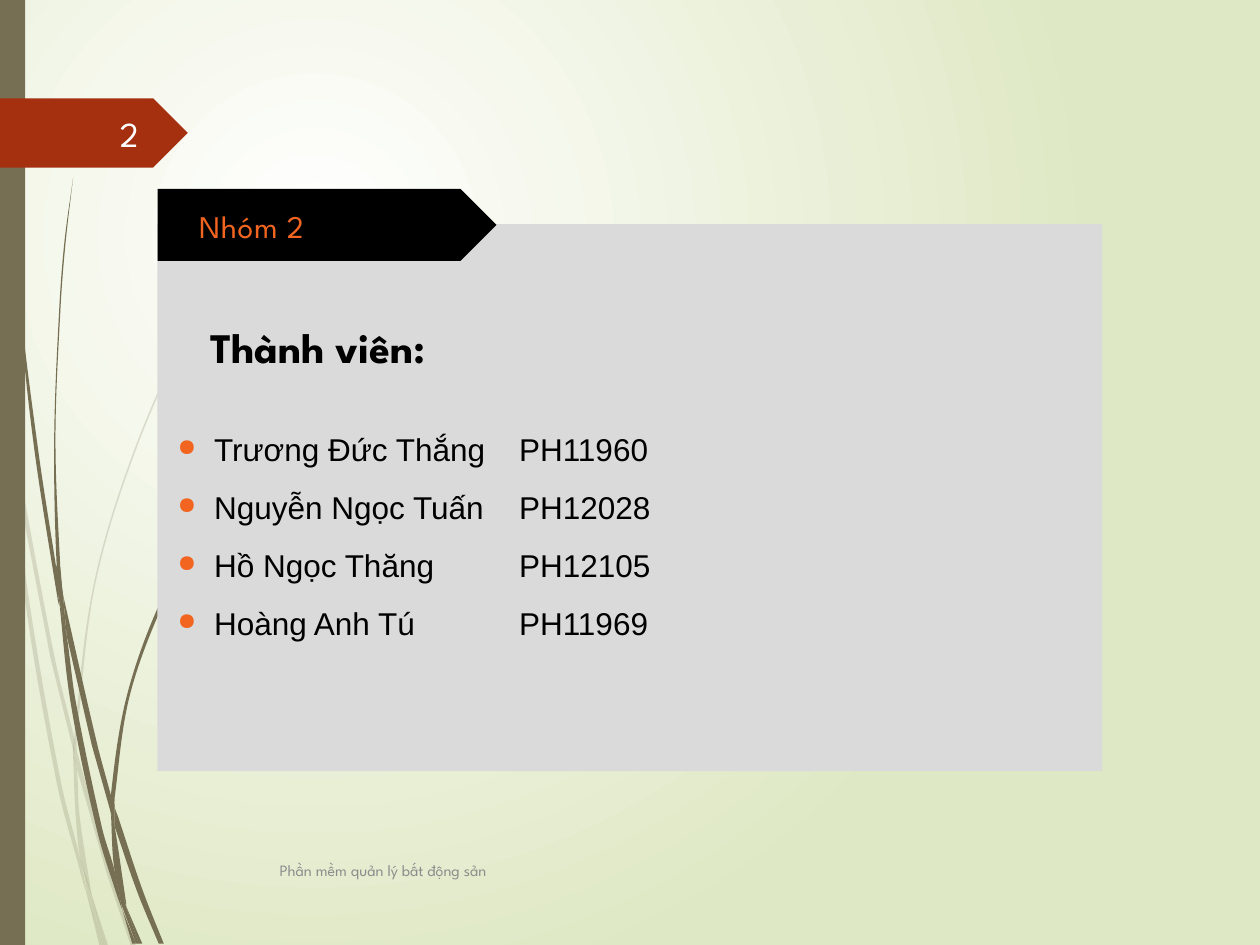
from collections import namedtuple
from dataclasses import dataclass
from math import dist

from lxml import etree
from pptx import Presentation
from pptx.dml.color import RGBColor
from pptx.enum.shapes import MSO_SHAPE
from pptx.enum.text import MSO_ANCHOR, PP_ALIGN
from pptx.oxml.ns import qn
from pptx.util import Inches, Pt

Box = namedtuple("Box", "left top width height")


@dataclass(frozen=True)
class Theme:
    olive: str = "766F54"
    rust: str = "A53010"
    orange: str = "F16521"
    panel: str = "DADADA"
    black: str = "000000"
    white: str = "FEFFFF"
    grey: str = "8C8C8C"
    glow: str = "FFFFFF"
    field: str = "DFE8C4"
    display: str = "League Spartan"
    body: str = "Arial"
    heading_size: int = 24
    number_size: int = 20
    text_size: int = 18
    footer_size: int = 9


THEME = Theme()
SLIDE = Box(0, 0, 10, 7.5)
MEMBERS = [
    ("Trương Đức Thắng", "PH11960"),
    ("Nguyễn Ngọc Tuấn", "PH12028"),
    ("Hồ Ngọc Thăng", "PH12105"),
    ("Hoàng Anh Tú", "PH11969"),
]

# Each blade section is a ring of smooth edges, given by their knots in inches.
PALE_BLADES = [
    ([(.08, 3.5), (.06, 3.22), (0, 2.82)], [(0, 2.99), (.07, 3.44), (.08, 3.5)]),
    ([(.4, 5.22), (.59, 5.99)], [(.59, 5.86), (.43, 5.2), (.1, 3.45)], [(.12, 3.76), (.4, 5.22)]),
    ([(.61, 5.96), (.61, 6.1)], [(.85, 6.94), (1.04, 7.51)], [(1.08, 7.51), (.88, 6.92), (.64, 6.07), (.61, 5.96)]),
    ([(.83, 7.51), (.86, 7.51)], [(.73, 7.11), (.83, 7.51)]),
    ([(.7, 7.14), (.64, 6.83), (.48, 6.19), (.22, 4.69), (.12, 3.76), (.08, 3.5)],
     [(.08, 3.5), (.19, 4.7), (.45, 6.21), (.64, 6.93), (.7, 7.14)]),
    ([(.58, 5.99), (.6, 6.46), (.64, 6.83), (.73, 7.11)], [(.72, 7.06), (.63, 6.46), (.61, 6.1), (.58, 5.99)]),
    ([(.61, 5.96), (.61, 5.84), (.76, 4.62), (1.11, 3.49), (1.59, 2.45), (1.87, 1.98), (2.01, 1.75), (2.17, 1.54)],
     [(2.17, 1.53), (2.01, 1.75), (1.86, 1.97), (1.58, 2.44), (1.1, 3.48), (.75, 4.61), (.59, 5.84), (.61, 5.96)]),
    ([(.7, 7.14), (.79, 7.51)], [(.82, 7.51), (.7, 7.14)]),
    ([(.61, 6.08), (.61, 5.96)], [(.59, 5.86), (.58, 5.99), (.61, 6.08)]),
    ([(.67, 6.92), (.65, 6.83)], [(.69, 7.07), (.7, 7.14), (.82, 7.51)], [(.83, 7.51), (.73, 7.11), (.67, 6.92)]),
]
DARK_BLADES = [
    ([(.03, 0), (.02, 0)], [(.03, .48), (.05, 1.1), (.14, 2.33), (.27, 3.55), (.46, 4.77), (.47, 4.81)],
     [(.45, 4.53), (.3, 3.55), (.15, 2.32), (.06, 1.09), (.04, .48), (.03, 0)]),
    ([(.73, 5.92), (.88, 6.45)], [(.88, 6.31), (.77, 5.9), (.5, 4.72)], [(.53, 5.05), (.73, 5.92)]),
    ([(.94, 6.49), (.91, 6.41)], [(.91, 6.56), (1.09, 7.08), (1.26, 7.49)], [(1.3, 7.49), (1.13, 7.06), (.94, 6.49)]),
    ([(.97, 7.22), (.91, 6.91), (.81, 6.57), (.6, 5.56), (.53, 5.05), (.47, 4.77)],
     [(.47, 4.77), (.56, 5.57), (.77, 6.59), (.92, 7.08), (.97, 7.22)]),
    ([(.5, 4.72), (.48, 4.53), (.44, 3.49), (.48, 2.45), (.52, 1.93), (.58, 1.41)],
     [(.58, 1.41), (.51, 1.93), (.47, 2.45), (.43, 3.49), (.45, 4.49), (.49, 4.72)]),
    ([(1.1, 7.49), (1.13, 7.49)], [(1, 7.19), (1.1, 7.49)]),
    ([(.47, 4.77), (.53, 5.05)], [(.5, 4.72), (.45, 4.49), (.47, 4.77)]),
    ([(.91, 6.41), (.91, 6.33), (1.03, 5.52), (1.31, 4.76), (1.69, 4.06), (1.91, 3.74), (2.16, 3.44)],
     [(2.15, 3.44), (1.91, 3.73), (1.68, 4.05), (1.29, 4.74), (1.01, 5.51), (.88, 6.31), (.91, 6.41)]),
    ([(.97, 7.22), (1.05, 7.49)], [(1.08, 7.49), (.97, 7.22)]),
    ([(.88, 6.45), (.91, 6.91), (1, 7.19)], [(1, 7.16), (.91, 6.56), (.88, 6.45)]),
    ([(.88, 6.45), (.91, 6.56)], [(.91, 6.41), (.88, 6.31), (.88, 6.45)]),
    ([(.96, 7.06), (.91, 6.91)], [(.96, 7.17), (1.08, 7.49)], [(1.1, 7.49), (1, 7.19), (.96, 7.06)]),
]


def inside(box, left, top, width, height):
    """Return a box given as an offset in inches from the corner of another."""
    return Box(box.left + left, box.top + top, width, height)


def paint(shape, color, opacity=100):
    shape.shadow.inherit = False
    shape.line.fill.background()
    shape.fill.solid()
    shape.fill.fore_color.rgb = RGBColor.from_string(color)
    if opacity < 100:
        color_node = shape.fill._xPr.find(".//" + qn("a:srgbClr"))
        etree.SubElement(color_node, qn("a:alpha"), val=str(opacity * 1000))


def add_block(page, kind, box, color):
    paint(page.shapes.add_shape(kind, *map(Inches, box)), color)


def add_text(page, box, text, *, size, color, font=THEME.display, bold=False, align=PP_ALIGN.LEFT,
             anchor=MSO_ANCHOR.TOP, insets=(.1, .05, .1, .05), before=0, line=1, spacing=0):
    """Add a text box with one paragraph for each line of text; return its paragraphs."""
    frame = page.shapes.add_textbox(*map(Inches, box)).text_frame
    frame.word_wrap, frame.vertical_anchor = True, anchor
    frame.margin_left, frame.margin_top, frame.margin_right, frame.margin_bottom = map(Inches, insets)
    frame.text = text
    for para in frame.paragraphs:
        para.alignment, para.space_before, para.line_spacing = align, Pt(before), line
        for span in para.runs:
            span.font.name, span.font.size, span.font.bold = font, Pt(size), bold
            span.font.color.rgb = RGBColor.from_string(color)
            if spacing:
                span.font._element.set("spc", str(round(spacing * 100)))
    return frame.paragraphs


def add_bullet(para, color, indent, tab):
    props = para._p.get_or_add_pPr()
    props.set("marL", str(Inches(indent)))
    props.set("indent", str(-Inches(indent - .01)))
    bullet_color = etree.SubElement(props, qn("a:buClr"))
    etree.SubElement(bullet_color, qn("a:srgbClr"), val=color)
    etree.SubElement(props, qn("a:buSzPct"), val="75000")
    etree.SubElement(props, qn("a:buChar"), char="●")
    tabs = etree.SubElement(props, qn("a:tabLst"))
    etree.SubElement(tabs, qn("a:tab"), pos=str(Inches(tab)), algn="l")


def bezier_points(knots):
    """Return two control points and an end point for each gap between knots."""
    def handle(origin, before, after, reach):
        share = reach / (3 * dist(before, after))
        return tuple(o + share * (a - b) for o, b, a in zip(origin, before, after))

    padded = [knots[0], *knots, knots[-1]]
    points = []
    for a, b, c, d in zip(padded, padded[1:], padded[2:], padded[3:]):
        chord = dist(b, c)
        points += [handle(b, a, c, chord), handle(c, d, b, chord), c]
    return points


def bend(shape, edges):
    """Turn the straight segments along each edge into cubic curves."""
    lines = iter(shape._element.findall(".//" + qn("a:lnTo")))
    for number, knots in enumerate(edges):
        if number:
            next(lines)
        for _ in knots[1:]:
            curve, *others = (next(lines) for _ in range(3))
            cubic = etree.Element(qn("a:cubicBezTo"))
            curve.addprevious(cubic)
            for line in (curve, *others):
                cubic.append(line[0])
                line.getparent().remove(line)


def draw_grass(page, box, blades, opacity=100):
    group = page.shapes.add_group_shape()
    for edges in blades:
        points = [((box.left + x) * 1000, (box.top + y) * 1000)
                  for knots in edges for x, y in [knots[0], *bezier_points(knots)]]
        builder = group.shapes.build_freeform(*points[0], scale=914.4)
        builder.add_line_segments(points[1:], close=True)
        blade = builder.convert_to_shape()
        bend(blade, edges)
        paint(blade, THEME.olive, opacity)


def draw_background(page):
    fill = page.background.fill
    fill.gradient()
    for stop, color in zip(fill.gradient_stops, (THEME.glow, THEME.field)):
        stop.color.rgb = RGBColor.from_string(color)
    gradient = page.background._cSld.find(".//" + qn("a:gradFill"))
    gradient.remove(gradient.find(qn("a:lin")))
    circle = etree.SubElement(gradient, qn("a:path"), path="circle")
    etree.SubElement(circle, qn("a:fillToRect"), l="50000", t="50000", r="100000", b="100000")


def draw_page_number(page, box, number):
    add_block(page, MSO_SHAPE.PENTAGON, box, THEME.rust)
    add_text(page, inside(box, .56, .08, .64, .4), str(number), size=THEME.number_size,
             color=THEME.white, align=PP_ALIGN.RIGHT, anchor=MSO_ANCHOR.MIDDLE)


def draw_team(page, box, title, heading, members):
    tight = (0, .01, 0, 0)
    add_block(page, MSO_SHAPE.RECTANGLE, inside(box, 0, .28, box.width, box.height - .28), THEME.panel)
    add_block(page, MSO_SHAPE.PENTAGON, inside(box, 0, 0, 2.69, .57), THEME.black)
    add_text(page, inside(box, .33, .13, 2.04, .31), title, size=THEME.text_size, color=THEME.orange,
             anchor=MSO_ANCHOR.BOTTOM, insets=tight, before=.8, spacing=.4)
    add_text(page, inside(box, .32, 1, 2.78, .5), heading, size=THEME.heading_size,
             color=THEME.black, bold=True)
    rows = "\n".join("\t".join(member) for member in members)
    for para in add_text(page, inside(box, .15, 1.75, 5.07, 1.81), rows, size=THEME.text_size,
                         color=THEME.black, font=THEME.body, insets=tight, before=.8, line=1.5):
        add_bullet(para, THEME.orange, indent=.3, tab=2.72)


def main():
    deck = Presentation()
    deck.slide_width, deck.slide_height = Inches(SLIDE.width), Inches(SLIDE.height)
    page = deck.slides.add_slide(deck.slide_layouts[6])
    draw_background(page)
    draw_grass(page, SLIDE, PALE_BLADES, opacity=20)
    draw_grass(page, SLIDE, DARK_BLADES)
    add_block(page, MSO_SHAPE.RECTANGLE, inside(SLIDE, 0, 0, .2, SLIDE.height), THEME.olive)
    draw_page_number(page, Box(0, .78, 1.49, .55), 2)
    draw_team(page, Box(1.25, 1.5, 7.5, 4.62), "Nhóm 2", "Thành viên:", MEMBERS)
    add_text(page, Box(2.12, 6.71, 6.25, .4), "Phần mềm quản lý bất động sản",
             size=THEME.footer_size, color=THEME.grey, anchor=MSO_ANCHOR.MIDDLE)
    deck.save("out.pptx")


if __name__ == "__main__":
    main()
